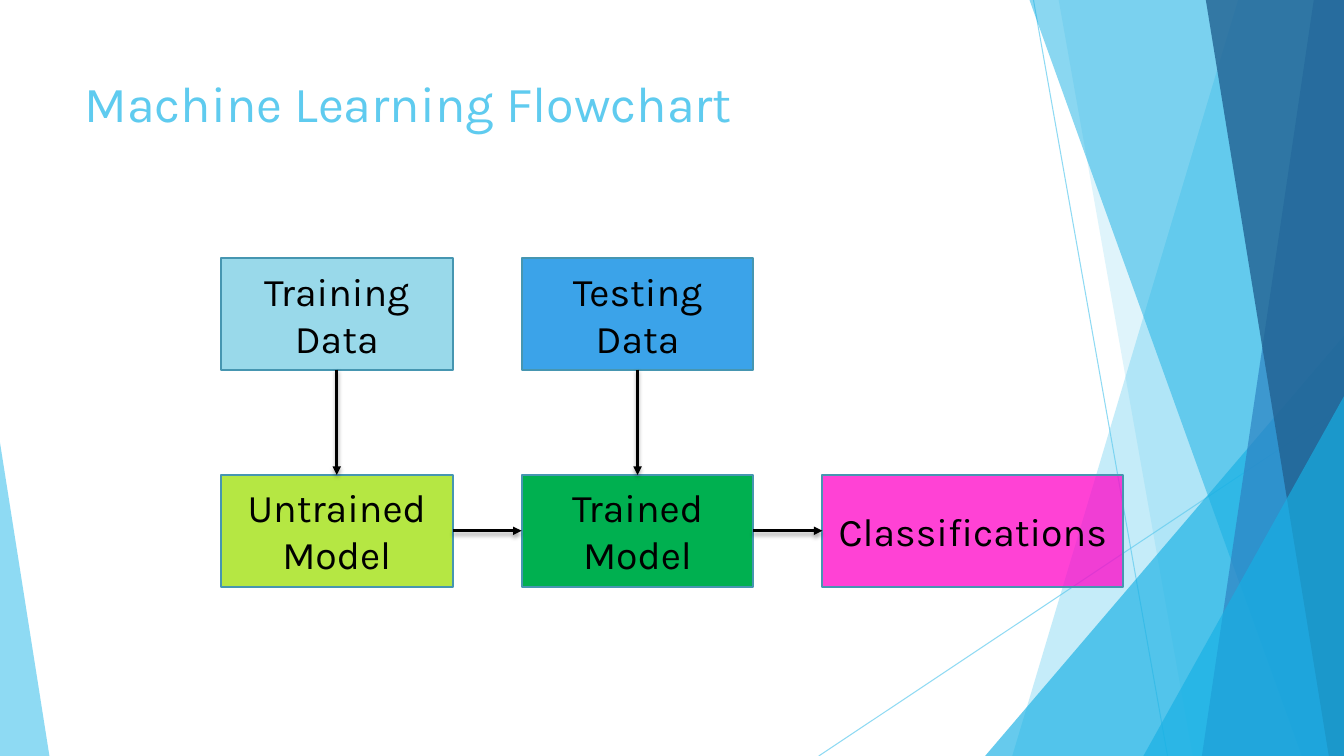
from dataclasses import dataclass
from lxml.etree import SubElement
from pptx import Presentation
from pptx.dml.color import RGBColor as Rgb
from pptx.enum.shapes import MSO_CONNECTOR as Link, MSO_SHAPE as Preset
from pptx.enum.text import MSO_ANCHOR as Anchor, PP_ALIGN as Align
from pptx.oxml.ns import qn
from pptx.util import Inches, Pt

FONT = "Karla"
BLACK = Rgb(0, 0, 0)
SKY = Rgb(0x5F, 0xCB, 0xEF)
CYAN = Rgb(0x17, 0xB0, 0xE4)
BLUE = Rgb(0x2E, 0x83, 0xC3)
NAVY = Rgb(0x22, 0x62, 0x92)
BORDER = Rgb(0x46, 0x96, 0xB1)
PALE_BLUE = Rgb(0x99, 0xD9, 0xEA)
BRIGHT_BLUE = Rgb(0x3B, 0xA3, 0xE9)
LIME = Rgb(0xB5, 0xE7, 0x43)
GREEN = Rgb(0x00, 0xB0, 0x50)
PINK = Rgb(0xFF, 0x04, 0xC8)
TOP, LEFT, BOTTOM, RIGHT = range(4)


@dataclass
class Box:
    left: float
    top: float
    width: float
    height: float

    def point(self, across, down):
        return (round(self.left + self.width * across / 100),
                round(self.top + self.height * down / 100))

    def region(self, across, down, wide, high):
        return Box(*self.point(across, down), round(self.width * wide / 100),
                   round(self.height * high / 100))

    def bounds(self):
        return self.left, self.top, self.width, self.height


def set_alpha(element, percent):
    for color in element.iter(qn("a:srgbClr")):
        SubElement(color, qn("a:alpha"), val=str(percent * 1000))


def paint(shape, color, opacity=100):
    shape.shadow.inherit = False
    shape.fill.solid()
    shape.fill.fore_color.rgb = color
    if opacity < 100:
        set_alpha(shape._element.spPr, opacity)
    shape.line.fill.background()


def draw_line(slide, start, end, color, weight):
    line = slide.shapes.add_connector(Link.STRAIGHT, *start, *end)
    line.line.color.rgb = color
    line.line.width = Pt(weight)
    return line, SubElement(line._element.spPr, qn("a:effectLst"))


def add_ray(slide, box, start, end):
    ray, _ = draw_line(slide, box.point(*start), box.point(*end), SKY, 0.75)
    set_alpha(ray._element.spPr, 70)


def add_pane(slide, box, top_left, bottom_left, color, opacity):
    corners = [box.point(*corner) for corner in
               ((top_left, 0), (100, 0), (100, 100), (bottom_left, 100))]
    builder = slide.shapes.build_freeform(*corners[0])
    builder.add_line_segments(corners[1:], close=True)
    paint(builder.convert_to_shape(), color, opacity)


def add_wedge(slide, box, apex, color, opacity):
    wedge = slide.shapes.add_shape(Preset.ISOSCELES_TRIANGLE, *box.bounds())
    wedge.adjustments[0] = apex
    paint(wedge, color, opacity)


def add_backdrop(slide, box):
    add_ray(slide, box, (40.88, 0), (66.41, 100))
    add_ray(slide, box, (100, 53.73), (0, 100))
    add_pane(slide, box, 79.85, 36.85, SKY, 36)
    add_pane(slide, box, 45.68, 71.21, SKY, 20)
    add_wedge(slide, box.region(31.67, 44.4, 68.33, 55.6), 1, CYAN, 66)
    add_pane(slide, box, 40.12, 91.94, CYAN, 50)
    add_pane(slide, box, 94.24, 72.94, BLUE, 70)
    add_pane(slide, box, 73.7, 97.12, NAVY, 80)
    add_wedge(slide, box.region(61.8, 52.4, 38.2, 47.6), 1, CYAN, 66)


def write(frame, text, size, color, align, anchor):
    frame.word_wrap = True
    frame.vertical_anchor = anchor
    frame.paragraphs[0].alignment = align
    run = frame.paragraphs[0].add_run()
    run.text = text
    run.font.name = FONT
    run.font.size = Pt(size)
    run.font.color.rgb = color


def add_title(slide, box):
    title = slide.shapes.add_textbox(*box.bounds())
    write(title.text_frame, "Machine Learning Flowchart", 36, SKY,
          Align.LEFT, Anchor.TOP)


def add_step(slide, box, label, color, opacity=100):
    step = slide.shapes.add_shape(Preset.RECTANGLE, *box.bounds())
    paint(step, color, opacity)
    step.line.color.rgb = BORDER
    step.line.width = Pt(1.5)
    write(step.text_frame, label, 28, BLACK, Align.CENTER, Anchor.MIDDLE)
    return step


def add_arrow(slide, source, source_side, target, target_side):
    arrow, effects = draw_line(slide, (0, 0), (0, 0), BLACK, 2)
    arrow.begin_connect(source, source_side)
    arrow.end_connect(target, target_side)
    outline = arrow._element.spPr.find(qn("a:ln"))
    SubElement(outline, qn("a:tailEnd"), type="triangle")
    shadow = SubElement(effects, qn("a:outerShdw"), blurRad=str(Pt(3)),
                        dist=str(Pt(2)), dir="5400000", rotWithShape="0")
    SubElement(shadow, qn("a:srgbClr"), val="000000")
    set_alpha(shadow, 35)


def add_flowchart(slide, box):
    column, wide, row, high = 100 / 3, 25.7, 66, 34

    def step(col, line, label, color, width=wide, opacity=100):
        place = box.region(col * column, line * row, width, high)
        return add_step(slide, place, label, color, opacity)

    untrained = step(0, 1, "Untrained Model", LIME)
    trained = step(1, 1, "Trained Model", GREEN)
    classes = step(2, 1, "Classifications", PINK, column, 75)
    testing = step(1, 0, "Testing Data", BRIGHT_BLUE)
    training = step(0, 0, "Training Data", PALE_BLUE)
    for source, target in ((untrained, trained), (trained, classes)):
        add_arrow(slide, source, RIGHT, target, LEFT)
    for source, target in ((training, untrained), (testing, trained)):
        add_arrow(slide, source, BOTTOM, target, TOP)


deck = Presentation()
deck.slide_width, deck.slide_height = Inches(13.33), Inches(7.5)
flow_slide = deck.slides.add_slide(deck.slide_layouts[6])
page = Box(0, 0, deck.slide_width, deck.slide_height)
add_backdrop(flow_slide, page.region(60.92, 0, 39.08, 100))
add_wedge(flow_slide, page.region(0, 58.53, 3.68, 41.47), 0, SKY, 70)
add_title(flow_slide, page.region(5.55, 8.93, 70.52, 19.2))
add_flowchart(flow_slide, page.region(16.43, 34.13, 67.14, 43.47))
deck.save("out.pptx")
